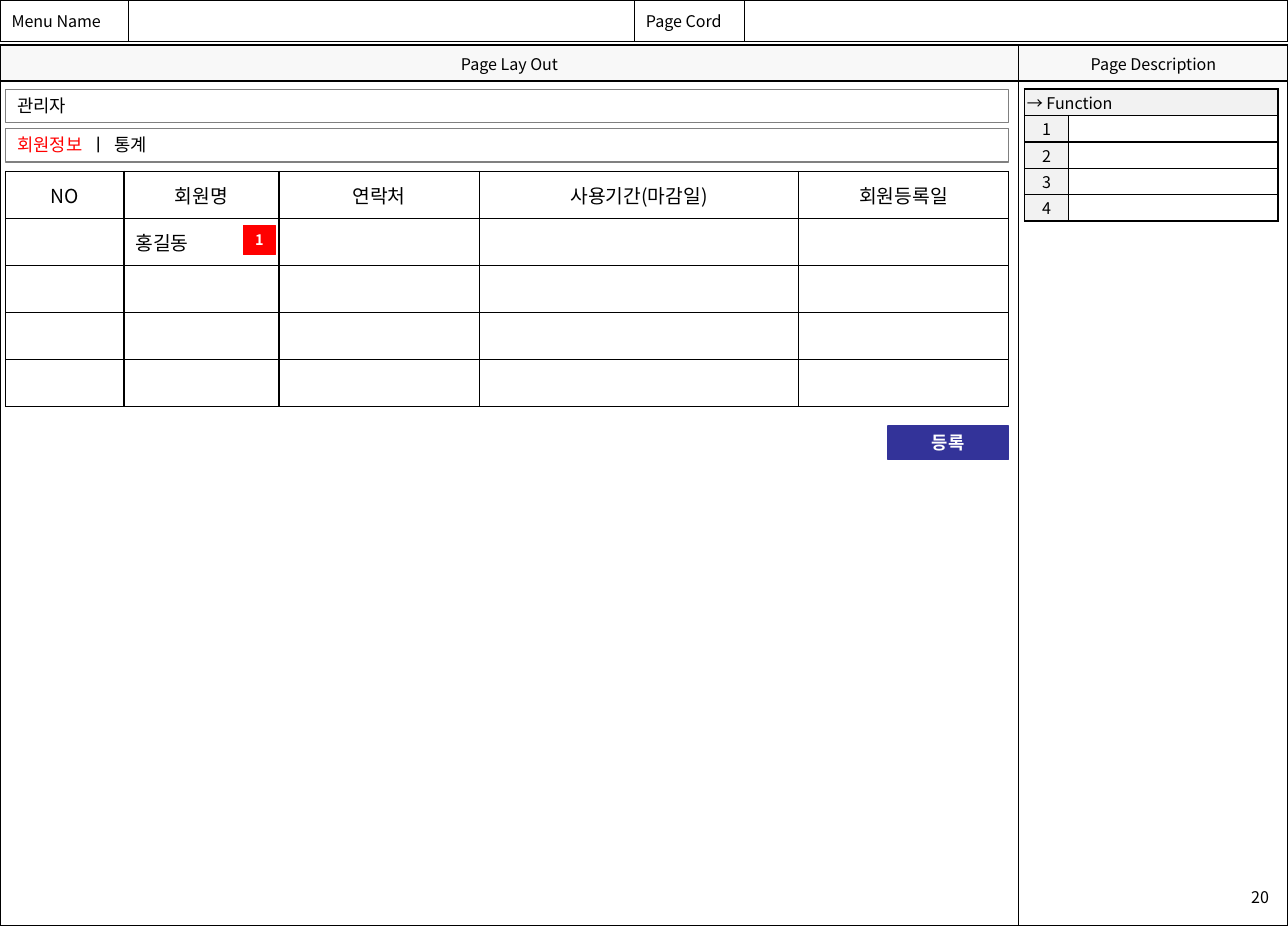
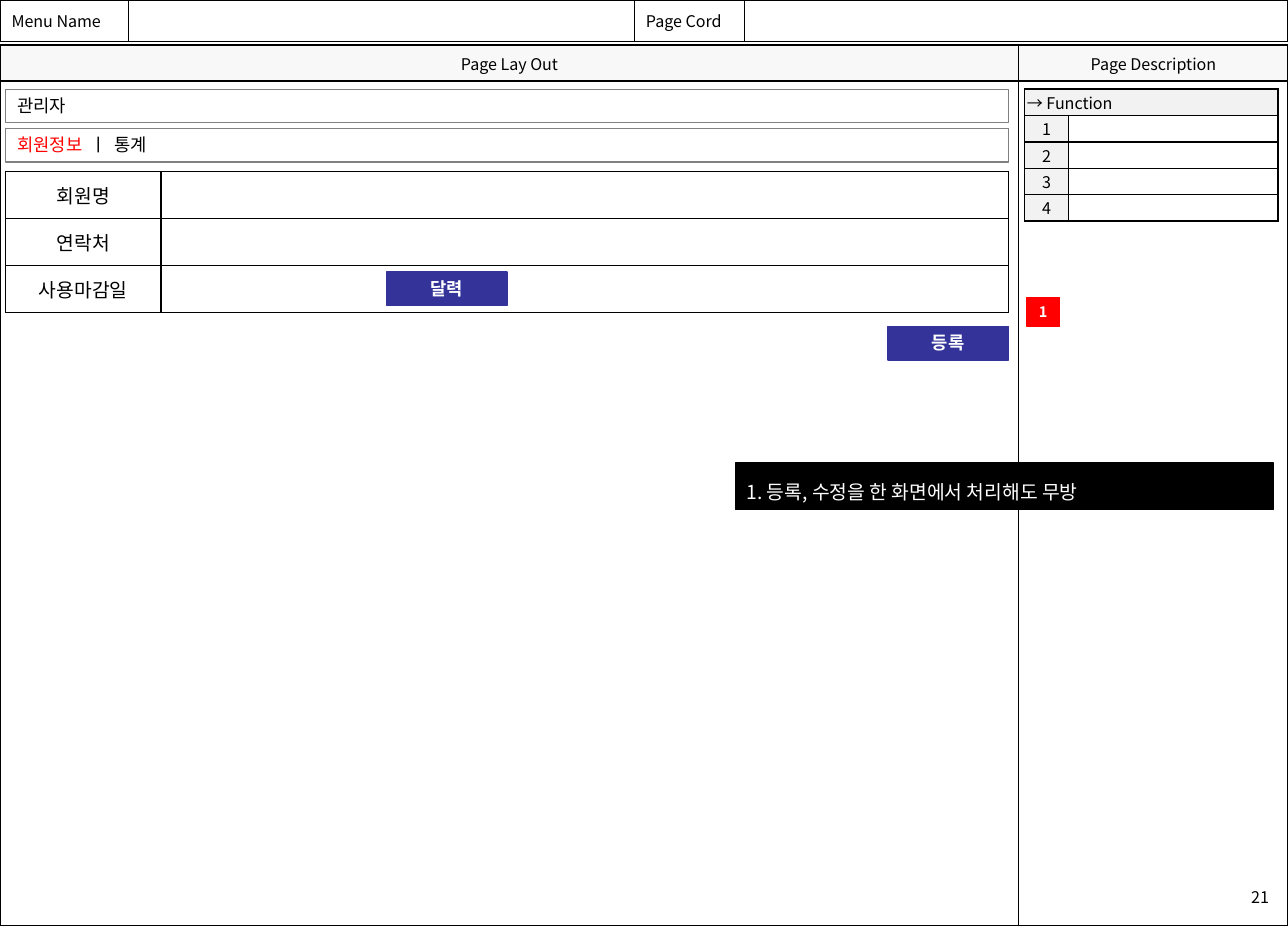
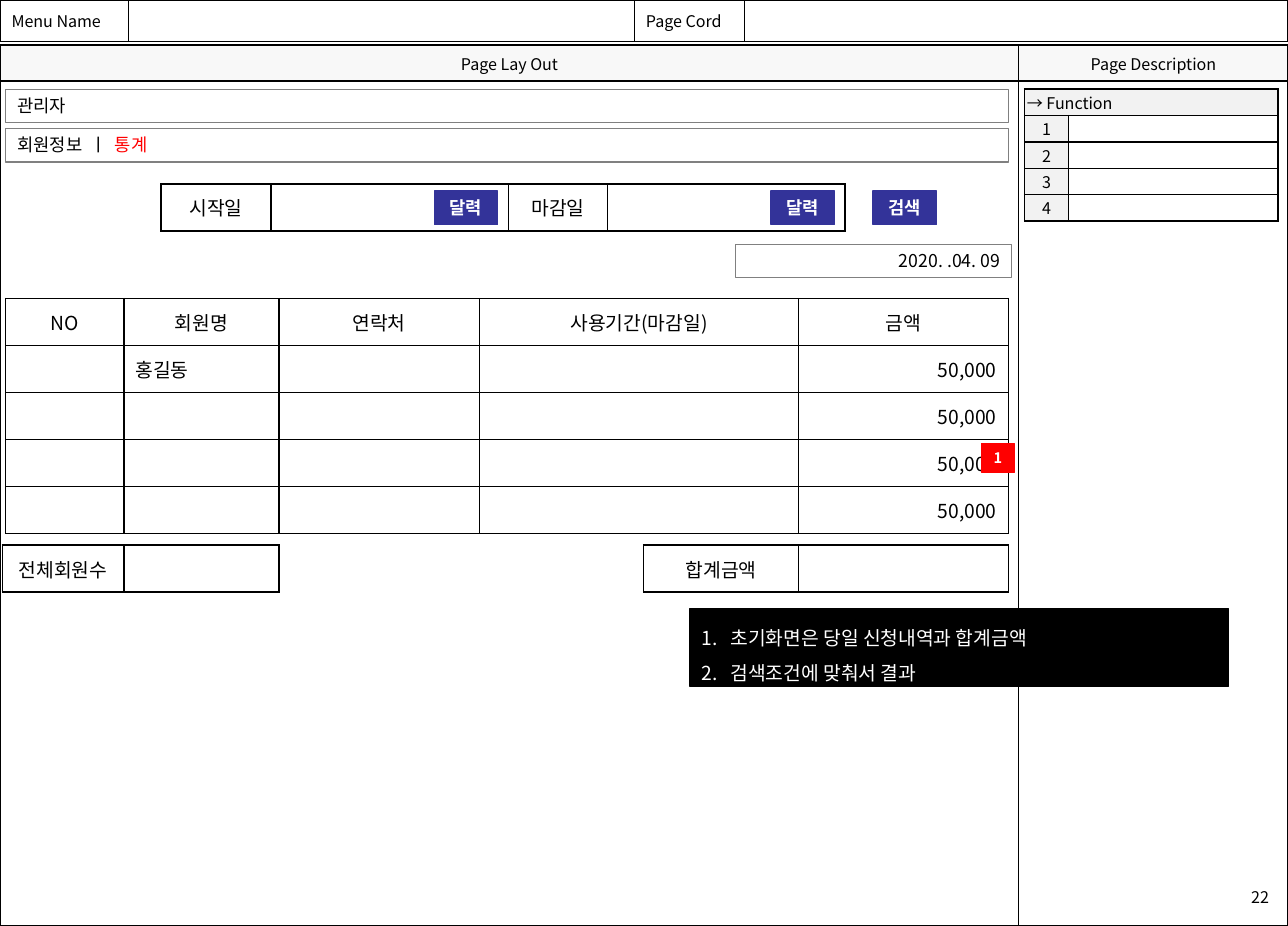
import pptx
import pptx.util
import pptx.dml.color
import pptx.enum.shapes
import pptx.enum.text
import pptx.oxml.ns
from lxml import etree

Inches = pptx.util.Inches
Pt = pptx.util.Pt
RGBColor = pptx.dml.color.RGBColor
Align = pptx.enum.text.PP_ALIGN
Anchor = pptx.enum.text.MSO_ANCHOR
qn = pptx.oxml.ns.qn

# Shared style
FONT = "Noto Sans CJK KR"
BLACK = RGBColor(0, 0, 0)
WHITE = RGBColor(255, 255, 255)
RED = RGBColor(255, 0, 0)
NAVY = RGBColor(0x33, 0x33, 0x99)
GRAY = RGBColor(0x80, 0x80, 0x80)
PALE = RGBColor(0xF2, 0xF2, 0xF2)
HEAD = RGBColor(0xF8, 0xF8, 0xF8)

# Shared grid
WIDE, HIGH = 89 / 8, 8
BODY = (0.05, 0.77, 8.66, 7.1)
SIDE = (8.85, 0.77, 2.19, 7.1)
ROW = 2.03 / 5
BAR = 0.29
COLS = [1.02, 1.34, 1.73, 2.76, 1.81]
FIELDS = ["NO", "회원명", "연락처", "사용기간(마감일)"]


def add_run(para, text, size, color=BLACK, bold=False):
    run = para.add_run()
    run.text = text
    font = run.font
    font.name, font.size, font.bold = FONT, Pt(size), bold
    font.color.rgb = color
    font._element.set("kern", "0")
    etree.SubElement(font._element, qn("a:ea"), typeface=FONT)


def add_box(slide, box, runs, size=11, fill=None, line=GRAY, align=Align.LEFT):
    """Draw a rectangle with one paragraph of (text, colour, bold) runs."""
    shape = slide.shapes.add_shape(
        pptx.enum.shapes.MSO_SHAPE.RECTANGLE, *map(Inches, box))
    shape.shadow.inherit = False
    if fill is None:
        shape.fill.background()
    else:
        shape.fill.solid()
        shape.fill.fore_color.rgb = fill
    shape.line.color.rgb = line
    shape.line.width = Pt(0.75)
    frame = shape.text_frame
    frame.word_wrap = True
    frame.vertical_anchor = Anchor.TOP
    para = frame.paragraphs[0]
    para.alignment = align
    for text, color, bold in runs:
        add_run(para, text, size, color, bold)
    return shape


def add_button(slide, left, top, text, width=1.04):
    add_box(slide, (left, top, width, BAR), [(text, WHITE, True)],
            fill=NAVY, line=NAVY, align=Align.CENTER)


def add_badge(slide, left, top):
    mark = add_box(slide, (left, top, 0.28, 0.25), [("1", WHITE, True)],
                   size=9, fill=RED, line=RED, align=Align.CENTER)
    mark.text_frame.margin_left = mark.text_frame.margin_right = 0


def add_note(slide, box, lines, auto=False):
    frame = add_box(slide, box, [], fill=BLACK, line=BLACK).text_frame
    for i, text in enumerate(lines):
        para = frame.add_paragraph() if i else frame.paragraphs[0]
        para.alignment = Align.LEFT
        para.line_spacing = 1.5
        if auto:
            props = para._p.get_or_add_pPr()
            props.set("marL", str(Inches(0.25)))
            props.set("indent", str(Inches(-0.25)))
            etree.SubElement(props, qn("a:buAutoNum"), type="arabicPeriod")
        add_run(para, text, 12, WHITE)


def add_edges(cell):
    """Give a cell thin black lines, which come before its fill."""
    props = cell._tc.get_or_add_tcPr()
    for i, side in enumerate(("lnL", "lnR", "lnT", "lnB")):
        line = etree.Element(qn("a:" + side), w=str(Pt(1)))
        fill = etree.SubElement(line, qn("a:solidFill"))
        etree.SubElement(fill, qn("a:srgbClr"), val=str(BLACK))
        props.insert(i, line)


def add_grid(slide, left, top, cols, rows, texts, size=12, fill=WHITE,
             pad=(0.1, 0.05), align=lambda r, c: Align.CENTER):
    """Draw a table; texts maps (row, column) to wording."""
    table = slide.shapes.add_table(
        len(rows), len(cols), Inches(left), Inches(top),
        Inches(sum(cols)), Inches(sum(rows))).table
    table.first_row = table.horz_banding = False
    for col, width in zip(table.columns, cols):
        col.width = Inches(width)
    for row, height in zip(table.rows, rows):
        row.height = Inches(height)
    for r in range(len(rows)):
        for c in range(len(cols)):
            cell = table.cell(r, c)
            cell.margin_left = cell.margin_right = Inches(pad[0])
            cell.margin_top = cell.margin_bottom = Inches(pad[1])
            cell.vertical_anchor = Anchor.MIDDLE
            if fill is None:
                cell.fill.background()
            else:
                paint(cell, fill)
            add_edges(cell)
            para = cell.text_frame.paragraphs[0]
            para.alignment = align(r, c)
            if (r, c) in texts:
                add_run(para, texts[r, c], size)
            else:
                etree.SubElement(para._p, qn("a:endParaRPr"),
                                 sz=str(size * 100))
    return table


def paint(cell, color):
    cell.fill.solid()
    cell.fill.fore_color.rgb = color


def add_frame(slide, number):
    """Outer page tables and the page number."""
    top = 0.39
    page = add_grid(slide, 0, top, [8.8, WIDE - 8.8], [0.31, HIGH - top - 0.31],
                    {(0, 0): "Page Lay Out", (0, 1): "Page Description"},
                    size=10, fill=None, pad=(0, 0))
    for cell in page.rows[0].cells:
        paint(cell, HEAD)
    add_grid(slide, 0, 0, [1.11, 4.37, 0.95, WIDE - 6.43], [0.36],
             {(0, 0): "Menu Name", (0, 2): "Page Cord"},
             size=10, fill=None, align=lambda r, c: Align.LEFT)
    label = slide.shapes.add_textbox(
        *map(Inches, (9.24, HIGH - 0.39, 1.84, 0.32)))
    text = label.text_frame
    text.word_wrap = True
    text.margin_left = text.margin_right = Inches(0.12)
    text.margin_top = text.margin_bottom = Inches(0.06)
    text.paragraphs[0].alignment = Align.RIGHT
    add_run(text.paragraphs[0], str(number), 10)


def add_menu(slide, box, tabs):
    """Heading bar and tab bar at the top of the body."""
    left, top, width, _ = box
    for i, runs in enumerate(([("관리자", BLACK, False)], tabs)):
        add_box(slide, (left, top + i * 0.34, width, BAR), runs)


def add_panel(slide, box):
    """Numbered function list in the side column."""
    left, top, width, _ = box
    texts = {(r, 0): str(r) for r in range(1, 5)}
    texts[0, 0] = "→ Function"
    table = add_grid(slide, left, top, [0.38, width - 0.38], [1.14 / 5] * 5,
                     texts, size=10, pad=(0.02, 0.01),
                     align=lambda r, c: Align.CENTER if r else Align.LEFT)
    for r in range(5):
        paint(table.cell(r, 0), PALE)
    table.cell(0, 0).merge(table.cell(0, 1))


def add_list(slide, left, top, last, sums=()):
    """Member table whose last column may hold amounts."""
    texts = {(0, c): text for c, text in enumerate(FIELDS + [last])}
    texts[1, 1] = "홍길동"
    texts.update({(r, 4): text for r, text in enumerate(sums, 1)})

    def side(r, c):
        if r == 0:
            return Align.CENTER
        return Align.RIGHT if c == 4 else Align.LEFT

    add_grid(slide, left, top, COLS, [ROW] * 5, texts, align=side)


def fill_members(slide, box):
    left, top, width, _ = box
    add_list(slide, left, top + 0.71, "회원등록일")
    add_badge(slide, left + 2.05, top + 1.18)
    add_button(slide, left + width - 1.04, top + 2.91, "등록")


def fill_form(slide, box):
    left, top, width, _ = box
    names = ["회원명", "연락처", "사용마감일"]
    add_grid(slide, left, top + 0.71, [1.34, width - 1.34], [ROW] * 3,
             {(r, 0): name for r, name in enumerate(names)})
    add_button(slide, left + width - 1.04, top + 2.05, "등록")
    add_button(slide, left + 3.29, top + 1.58, "달력")
    add_badge(slide, left + 8.82, top + 1.8)
    add_note(slide, (left + 6.3, top + 3.23, 4.65, 0.4),
             ["1. 등록, 수정을 한 화면에서 처리해도 무방"])


def fill_stats(slide, box):
    left, top, _, _ = box
    # Result and totals
    add_list(slide, left, top + 1.81, "금액", ["50,000"] * 4)
    for x, cols, text in ((5.51, [1.34, 1.81], "합계금액"),
                          (-0.03, [1.05, 1.34], "전체회원수")):
        add_grid(slide, left + x, top + 3.94, cols, [ROW], {(0, 0): text})
    # Search row
    add_grid(slide, left + 1.34, top + 0.82, [0.95, 2.05, 0.86, 2.05], [ROW],
             {(0, 0): "시작일", (0, 2): "마감일"})
    for x, text in ((3.7, "달력"), (6.61, "달력"), (7.49, "검색")):
        add_button(slide, left + x, top + 0.88, text, 0.55)
    add_box(slide, (left + 6.3, top + 1.34, 2.39, BAR),
            [("2020. .04. 09", BLACK, False)], align=Align.RIGHT)
    # Remarks
    add_badge(slide, left + 8.43, top + 3.06)
    add_note(slide, (left + 5.91, top + 4.49, 4.65, 0.67),
             ["초기화면은 당일 신청내역과 합계금액", "검색조건에 맞춰서 결과"],
             auto=True)


def main():
    deck = pptx.Presentation()
    deck.slide_width, deck.slide_height = Inches(WIDE), Inches(HIGH)
    info = [("회원정보  ", RED, False), ("ㅣ  통계", BLACK, False)]
    stats = [("회원정보  ㅣ  ", BLACK, False), ("통계", RED, False)]
    pages = [(info, fill_members), (info, fill_form), (stats, fill_stats)]
    for number, (tabs, fill) in enumerate(pages, 20):
        slide = deck.slides.add_slide(deck.slide_layouts[6])
        add_frame(slide, number)
        add_menu(slide, BODY, tabs)
        fill(slide, BODY)
        add_panel(slide, SIDE)
    deck.save("out.pptx")


if __name__ == "__main__":
    main()
